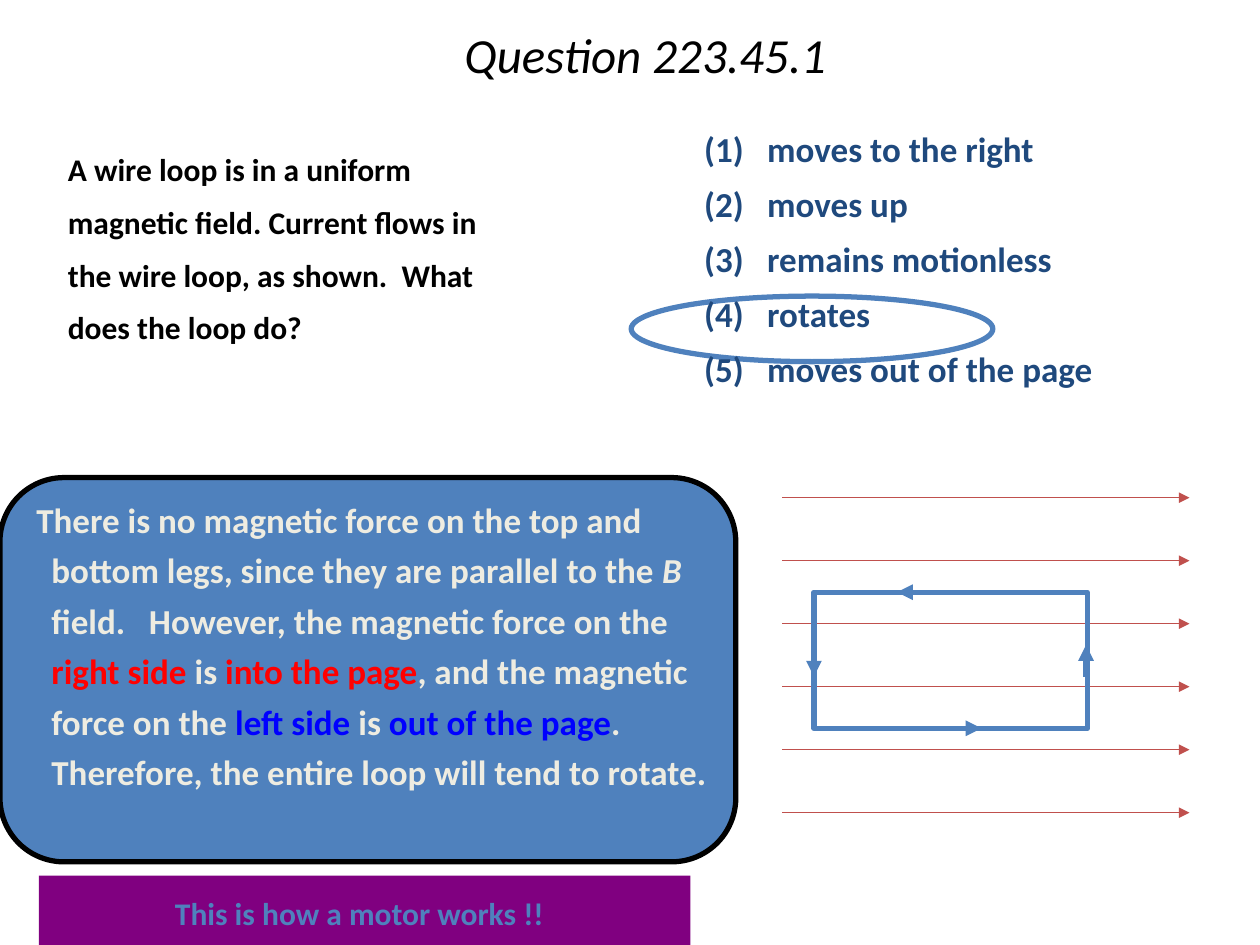
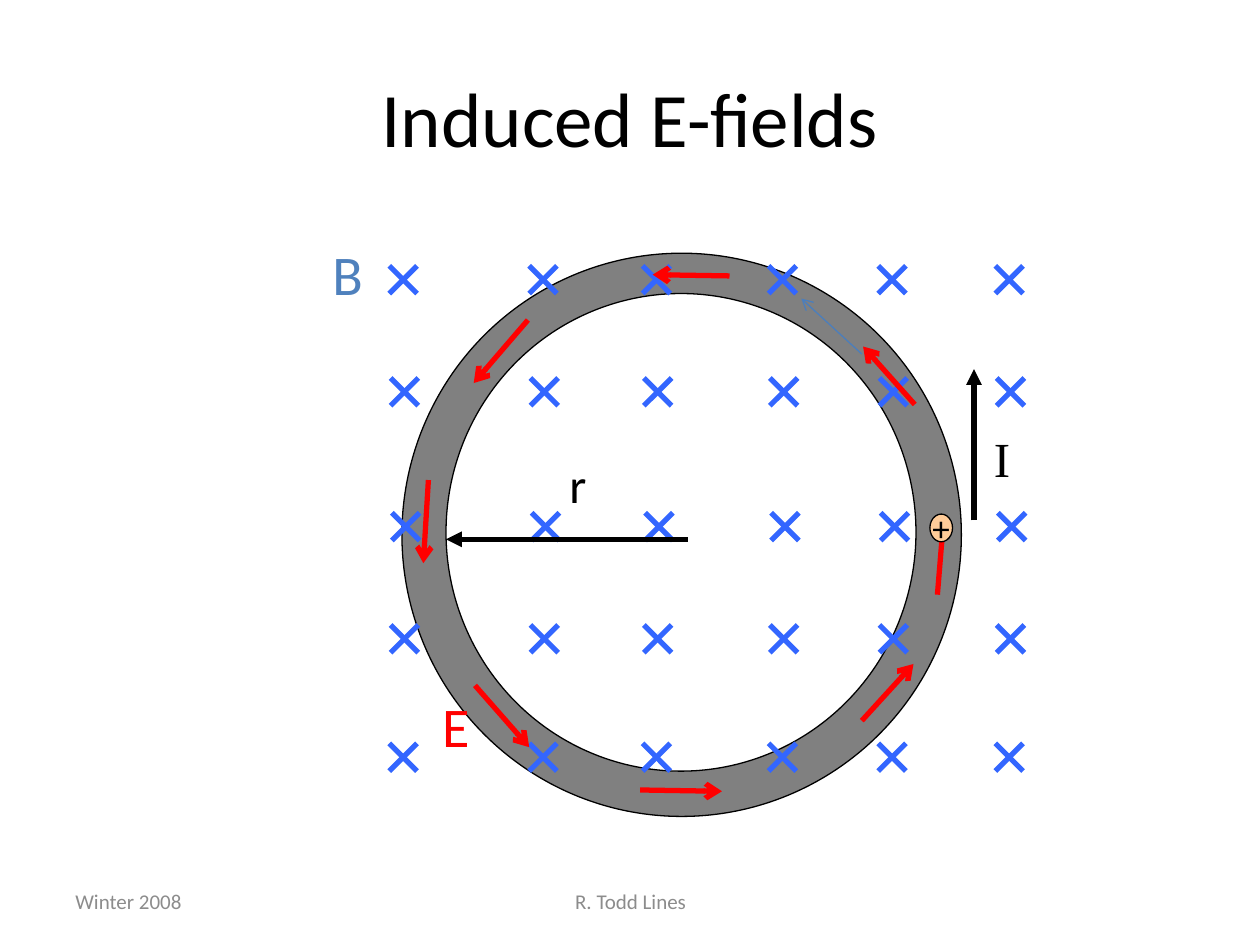
from lxml import etree
from pptx import Presentation
from pptx import util as u
from pptx.dml.color import RGBColor
from pptx.enum import shapes, text
from pptx.oxml.ns import qn

hue = RGBColor.from_string
kinds = shapes.MSO_SHAPE
mid = text.PP_ALIGN.CENTER
BLACK, BLUE, RED, CROSS = "000000", "4F81BD", "FF0000", "3366FF"
CREAM, NAVY, GREY = "EEECE1", "1F497D", "8C8C8C"


def put(page, at, words="", size=18, ink=BLACK, kind=None, fill=None, edge=None,
        width=3, bold=False, align=None, center=False, wrap=True, font="Calibri"):
    """Add a text box, or a preset shape when a kind is given."""
    area = [u.Inches(n) for n in at]
    if kind is None:
        item = page.shapes.add_textbox(*area)
    else:
        item = page.shapes.add_shape(kind, *area)
        item.shadow.inherit = False
        if fill:
            item.fill.solid()
            item.fill.fore_color.rgb = hue(fill)
        else:
            item.fill.background()
        if edge:
            item.line.color.rgb = hue(edge)
            item.line.width = u.Pt(width)
        else:
            item.line.fill.background()
    if words:
        frame = item.text_frame
        frame.text = words
        frame.word_wrap = wrap
        anchor = text.MSO_ANCHOR
        frame.vertical_anchor = anchor.MIDDLE if center else anchor.TOP
        for para in frame.paragraphs:
            para.alignment = align
            for run in para.runs:
                run.font.name, run.font.size = font, u.Pt(size)
                run.font.bold, run.font.color.rgb = bold, hue(ink)
    return item


def link(page, ends, color, width=3, head=None):
    """Add a straight line, with an arrowhead at its end when one is named."""
    line = page.shapes.add_connector(
        shapes.MSO_CONNECTOR.STRAIGHT, *[u.Inches(n) for n in ends])
    line.line.color.rgb = hue(color)
    line.line.width = u.Pt(width)
    props = line._element.spPr
    if head:
        etree.SubElement(props.find(qn("a:ln")), qn("a:tailEnd"), type=head)
    etree.SubElement(props, qn("a:effectLst"))


deck = Presentation()
deck.slide_width, deck.slide_height = u.Inches(10), u.Inches(7.5)
quiz, ring = [deck.slides.add_slide(deck.slide_layouts[6]) for _ in range(2)]

# Titles
for page, at, words, size in [
        (quiz, (0.72, 0, 8.8, 0.92), "Question 223.45.1", 28),
        (ring, (0.5, 0.3, 9, 1.25), "Induced E-fields", 44)]:
    title = put(page, at, words, size, align=mid, center=True)
    if page is quiz:
        para = title.text_frame.paragraphs[0]
        para.line_spacing = 0.9
        para.runs[0].font.italic = True

# Quiz: explanation panel
put(quiz, (0, 3.79, 5.84, 3.05), kind=kinds.ROUNDED_RECTANGLE, fill=BLUE, edge=BLACK)
reason = put(quiz, (0, 3.84, 5.8, 2.9), " ")
para = reason.text_frame.paragraphs[0]
para.text = ""
para.line_spacing = 1.2
for words, ink in [
        ("There is no magnetic force on the top and bottom legs, "
         "since they are parallel to the ", CREAM),
        ("B", CREAM),
        (" field.   However, the magnetic force on the ", CREAM),
        ("right side", RED),
        (" is ", CREAM),
        ("into the page", RED),
        (", and the magnetic force on the ", CREAM),
        ("left side", "0000FF"),
        (" is ", CREAM),
        ("out of the page", "0000FF"),
        (". Therefore, the entire loop will tend to rotate.", CREAM)]:
    run = para.add_run()
    run.text = words
    run.font.name, run.font.size, run.font.bold = "Calibri", u.Pt(20), True
    run.font.italic = words == "B"
    run.font.color.rgb = hue(ink)

# Quiz: ring round the right answer, question and answers
put(quiz, (5.01, 2.35, 2.87, 0.52), kind=kinds.OVAL, edge=BLUE)
ask = put(quiz, (0, 1.02, 4.21, 1.9),
          "A wire loop is in a uniform magnetic field. Current flows in "
          "the wire loop, as shown.  What does the loop do?", bold=True)
ask.text_frame.paragraphs[0].line_spacing = 1.4

picks = ["moves to the right", "moves up", "remains motionless", "rotates",
         "moves out of the page"]
words = "\n".join(f"({n})\t{pick}" for n, pick in enumerate(picks, 1))
picks = put(quiz, (5.49, 1, 4.51, 2.27), words, 20, NAVY, bold=True)
for n, para in enumerate(picks.text_frame.paragraphs):
    para.line_spacing = 0.9
    para.space_before = u.Pt(9.8 if n else 0)

# Quiz: paragraph indents
for box, left, first in [(reason, 0.31, -0.12), (ask, 0.44, 0), (picks, 0.5, -0.5)]:
    for para in box.text_frame.paragraphs:
        props = para._p.get_or_add_pPr()
        props.set("marL", str(u.Inches(left)))
        props.set("indent", str(u.Inches(first)))

# Quiz: motor banner
motor = put(quiz, (0.31, 6.95, 5.17, 0.55), "This is how a motor works !!", 18, BLUE,
            kinds.RECTANGLE, "800080", bold=True, align=mid, center=True)
motor.text_frame.margin_right = u.Inches(0.18)
motor.text_frame.paragraphs[0].line_spacing = 1.11

# Quiz: field lines and current loop
for n in range(6):
    y = 3.95 + 0.5 * n
    link(quiz, (6.21, y, 9.44, y), "C0504D", 0.75, "triangle")
put(quiz, (6.46, 4.7, 2.17, 1.08), kind=kinds.RECTANGLE, edge=BLUE)
for ends in [(7.37, 4.7, 7.12, 4.7), (6.46, 5.12, 6.46, 5.37),
             (8.62, 5.37, 8.62, 5.12), (7.54, 5.78, 7.79, 5.78)]:
    link(quiz, ends, BLUE, head="triangle")

# Ring: footers
put(ring, (0.5, 6.95, 2.33, 0.4), "Winter 2008", 12, GREY, center=True)
put(ring, (3.42, 6.95, 3.17, 0.4), "R. Todd Lines", 12, GREY, align=mid, center=True)

# Ring: conductor and current
for at, fill in [((3.19, 2.01, 4.44, 4.47), "808080"),
                 ((3.54, 2.33, 3.73, 3.79), "FFFFFF")]:
    put(ring, at, kind=kinds.OVAL, fill=fill, edge=BLACK, width=0.75)
link(ring, (7.73, 4.13, 7.73, 2.93), BLACK, head="triangle")

# Ring: crosses for the field into the page, rows slightly shifted
arm = 0.11
for y, shift in [(2.22, 0), (3.11, 0.01), (4.18, 0.02), (5.07, 0.01), (6.01, 0)]:
    for col in [3.2, 4.31, 5.21, 6.21, 7.08, 8.01]:
        x = col + shift
        for rise in (arm, -arm):
            link(ring, (x - arm, y - rise, x + arm, y + rise), CROSS)

# Ring: radius and induced field arrows
link(ring, (5.46, 4.28, 3.54, 4.28), BLACK, head="triangle")
link(ring, (6.84, 2.81, 6.36, 2.37), "4B7EBC", 0.75, "arrow")
for ends in [(7.44, 4.72, 7.49, 4.11), (3.4, 3.81, 3.36, 4.47),
             (5.79, 2.19, 5.18, 2.18), (5.08, 6.27, 5.73, 6.28),
             (7.26, 3.21, 6.85, 2.75), (3.77, 5.44, 4.2, 5.93),
             (6.84, 5.72, 7.25, 5.27), (4.19, 2.54, 3.76, 3.04)]:
    link(ring, ends, RED, head="arrow")

# Ring: charge and labels
put(ring, (7.38, 4.08, 0.18, 0.22), "+", 20, kind=kinds.OVAL, fill="FFCC99",
    edge=BLACK, width=0.75, align=mid, center=True, wrap=False)
for at, words, size, ink, font in [
        ((7.79, 3.35, 0.33, 0.57), "I", 28, BLACK, "Times New Roman"),
        ((4.42, 3.56, 0.44, 0.57), "r", 28, BLACK, "Calibri"),
        ((2.54, 1.85, 0.45, 0.64), "B", 32, BLUE, "Calibri"),
        ((3.41, 5.44, 0.42, 0.64), "E", 32, RED, "Calibri")]:
    put(ring, at, words, size, ink, wrap=False, font=font)

deck.save("out.pptx")
